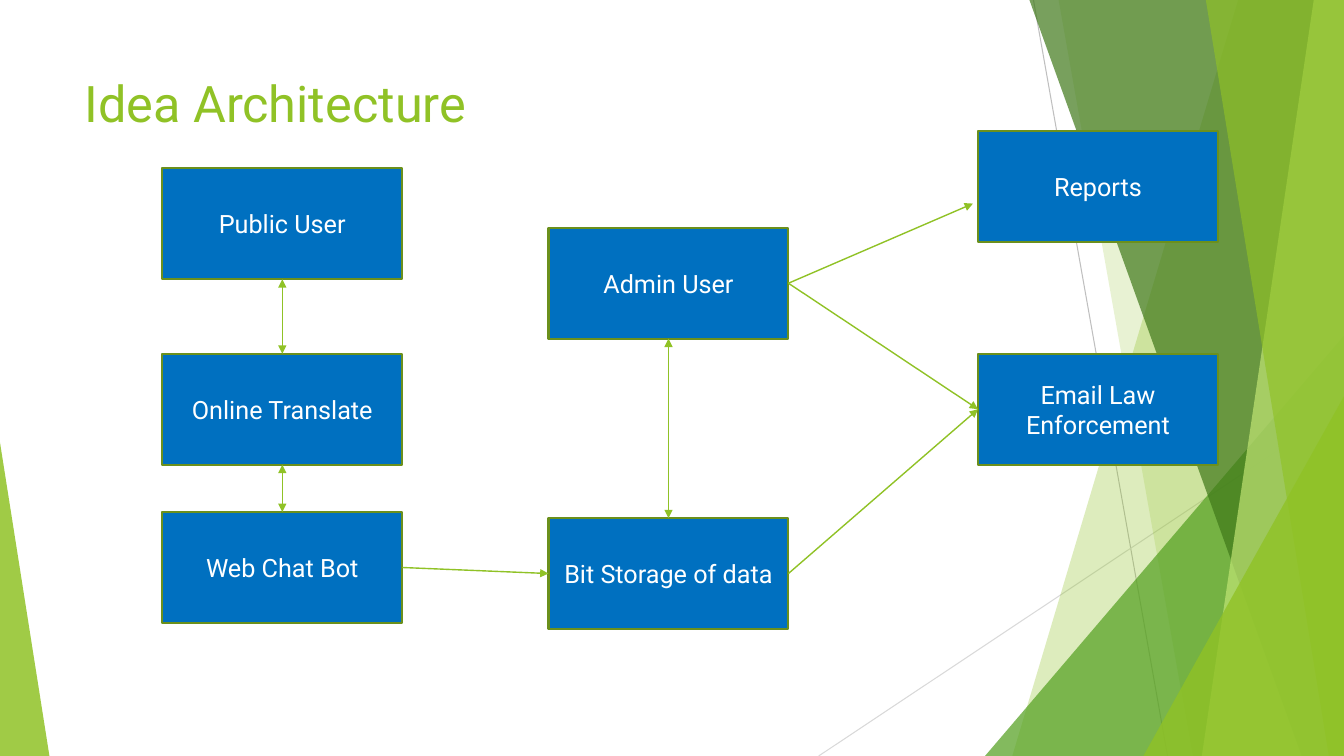
from lxml.etree import SubElement
from pptx import Presentation
from pptx.dml.color import RGBColor
from pptx.enum.shapes import MSO_CONNECTOR, MSO_SHAPE
from pptx.enum.text import MSO_ANCHOR, PP_ALIGN
from pptx.oxml.ns import qn
from pptx.util import Pt

PX = 9144
W, H = 1333, 750
BOX_W, BOX_H = 238, 110
FONT = "Roboto"
GREEN, BLUE, OLIVE, WHITE = "90C226", "0070C0", "6B901C", "FFFFFF"
TOP, LEFT, BOTTOM, RIGHT = range(4)
COL_USER, COL_ADMIN, COL_OUTPUT = 161, 544, 970

BOXES = {
    "Public User": (COL_USER, 167),
    "Online Translate": (COL_USER, 351),
    "Web Chat Bot": (COL_USER, 508),
    "Admin User": (COL_ADMIN, 226),
    "Bit Storage of data": (COL_ADMIN, 514),
    "Reports": (COL_OUTPUT, 130),
    "Email Law Enforcement": (COL_OUTPUT, 351),
}

LINKS = [
    ("Public User", BOTTOM, "Online Translate", TOP, True),
    ("Online Translate", BOTTOM, "Web Chat Bot", TOP, True),
    ("Web Chat Bot", RIGHT, "Bit Storage of data", LEFT, False),
    ("Admin User", BOTTOM, "Bit Storage of data", TOP, True),
    ("Admin User", RIGHT, "Email Law Enforcement", LEFT, False),
    ("Bit Storage of data", RIGHT, "Email Law Enforcement", LEFT, False),
]


def px(*values):
    return [v * PX for v in values]


def color(value):
    return RGBColor.from_string(value)


def write(s, text, size=18, fill=WHITE, align=PP_ALIGN.CENTER, anchor=MSO_ANCHOR.MIDDLE):
    tf = s.text_frame
    tf.word_wrap = True
    tf.vertical_anchor = anchor
    p = tf.paragraphs[0]
    p.alignment = align
    r = p.add_run()
    r.text = text
    r.font.name = FONT
    r.font.size = Pt(size)
    r.font.color.rgb = color(fill)


def paint(s, fill, opacity):
    s.shadow.inherit = False
    s.fill.solid()
    s.fill.fore_color.rgb = color(fill)
    s.line.fill.background()
    clr = s._element.spPr.find(qn("a:solidFill")).find(qn("a:srgbClr"))
    SubElement(clr, qn("a:alpha"), val=str(opacity * 1000))


def add_facet(sp, points, fill, opacity):
    builder = sp.build_freeform(*points[0], scale=PX)
    builder.add_line_segments(points[1:], close=True)
    paint(builder.convert_to_shape(), fill, opacity)


def add_triangle(sp, x, y, w, apex, fill, opacity):
    s = sp.add_shape(MSO_SHAPE.ISOSCELES_TRIANGLE, *px(x, y, w, H - y))
    s.adjustments[0] = apex
    paint(s, fill, opacity)


def add_line(sp, start=(0, 0), end=(0, 0), stroke=GREEN, width=1.0):
    s = sp.add_connector(MSO_CONNECTOR.STRAIGHT, *px(*start, *end))
    s.line.color.rgb = color(stroke)
    s.line.width = Pt(width)
    SubElement(s._element.spPr, qn("a:effectLst"))
    return s


def add_arrowheads(s, both=False):
    ln = s._element.spPr.find(qn("a:ln"))
    for tag in ("a:headEnd", "a:tailEnd") if both else ("a:tailEnd",):
        SubElement(ln, qn(tag), type="triangle")


def add_box(sp, text, x, y):
    s = sp.add_shape(MSO_SHAPE.RECTANGLE, *px(x, y, BOX_W, BOX_H))
    s.shadow.inherit = False
    s.fill.solid()
    s.fill.fore_color.rgb = color(BLUE)
    s.line.color.rgb = color(OLIVE)
    s.line.width = Pt(1.5)
    write(s, text)
    return s


def add_backdrop(sp):
    add_line(sp, (1025, 0), (1158, H), "BFBFBF", 0.75)
    add_line(sp, (W, 403), (812, H), "D9D9D9", 0.75)
    right_edge = [(W, 0), (W, H)]
    add_facet(sp, [(1228, 0), *right_edge, (1004, H)], GREEN, 30)
    add_facet(sp, [(1050, 0), *right_edge, (1183, H)], GREEN, 20)
    add_triangle(sp, 977, 333, 356, 1, "54A021", 72)
    add_facet(sp, [(1021, 0), *right_edge, (1291, H)], "3F7819", 70)
    add_facet(sp, [(1303, 0), *right_edge, (1192, H)], "C0E474", 70)
    add_facet(sp, [(1196, 0), *right_edge, (1318, H)], GREEN, 65)
    add_triangle(sp, 1134, 393, 199, 1, GREEN, 80)
    add_triangle(sp, 0, 439, 49, 0, GREEN, 85)


def main():
    prs = Presentation()
    prs.slide_width, prs.slide_height = px(W, H)
    sp = prs.slides.add_slide(prs.slide_layouts[6]).shapes
    add_backdrop(sp)
    title = sp.add_textbox(*px(74, 67, 940, 144))
    write(title, "Idea Architecture", size=36, fill=GREEN,
          align=PP_ALIGN.LEFT, anchor=MSO_ANCHOR.TOP)
    boxes = {text: add_box(sp, text, *spot) for text, spot in BOXES.items()}
    for source, out_side, target, in_side, both in LINKS:
        s = add_line(sp)
        s.begin_connect(boxes[source], out_side)
        s.end_connect(boxes[target], in_side)
        add_arrowheads(s, both)
    s = add_line(sp, end=(965, 202))
    s.begin_connect(boxes["Admin User"], RIGHT)
    add_arrowheads(s)
    prs.save("out.pptx")


if __name__ == "__main__":
    main()
